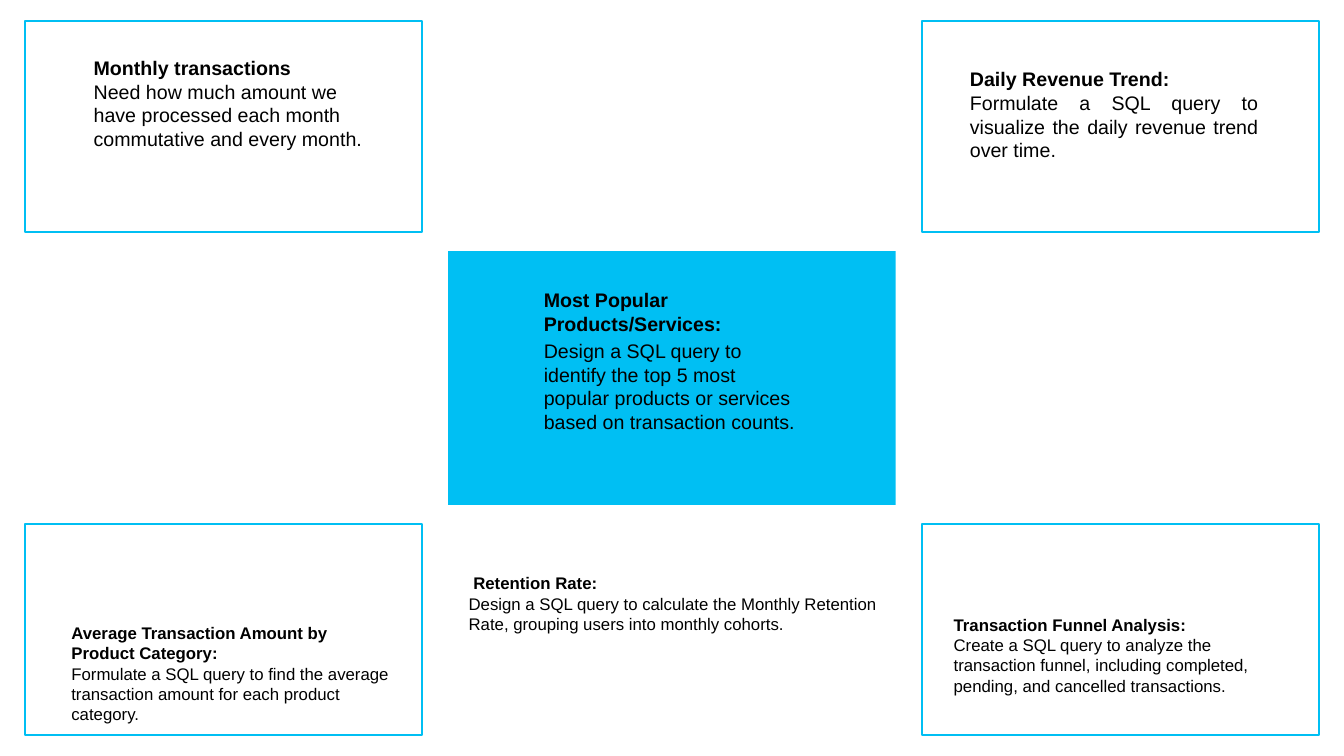
from dataclasses import dataclass

from pptx import Presentation
from pptx.dml.color import RGBColor
from pptx.enum.shapes import MSO_SHAPE as Preset
from pptx.enum.text import MSO_ANCHOR as Anchor, PP_ALIGN as Align
from pptx.util import Pt

COLORS = {"accent": "00BFF3", "text": "000000"}
FONT = "Arial"
SLIDE_W, SLIDE_H = 960, 540
MARGIN_X, MARGIN_Y = 18, 15.1
CARD_W, CARD_H = 283.7, 150.5
CENTER_W, CENTER_H = 319.7, 181.4

LEFT, RIGHT = MARGIN_X, SLIDE_W - MARGIN_X - CARD_W
TOP, BOTTOM = MARGIN_Y, SLIDE_H - MARGIN_Y - CARD_H
CENTER_X, CENTER_Y = (SLIDE_W - CENTER_W) / 2, (SLIDE_H - CENTER_H) / 2


@dataclass
class Task:
    heading: str
    request: str
    offset: tuple
    extent: tuple
    size: int = 12
    align: Align = Align.LEFT
    gap: float = 0


MONTHLY = Task(
    "Monthly transactions",
    "Need how much amount we have processed each month commutative and every month.",
    (41.8, 21.6), (218.9, 92), size=14)
DAILY = Task(
    "Daily Revenue Trend:",
    "Formulate a SQL query to visualize the daily revenue trend over time.",
    (27.4, 29.5), (220.3, 75), size=14, align=Align.JUSTIFY)
AVERAGE = Task(
    "Average Transaction Amount by Product Category:",
    "Formulate a SQL query to find the average transaction amount for each product category.",
    (25.9, 67), (242.6, 94))
FUNNEL = Task(
    "Transaction Funnel Analysis:",
    "Create a SQL query to analyze the transaction funnel, including completed, "
    "pending, and cancelled transactions.",
    (15.8, 61.2), (259.2, 83))
POPULAR = Task(
    "Most Popular Products/Services:",
    "Design a SQL query to identify the top 5 most popular products or services "
    "based on transaction counts.",
    (61.2, 23), (198.7, 128), size=14, gap=2.8)
RETENTION = Task(
    " Retention Rate:",
    "Design a SQL query to calculate the Monthly Retention Rate, grouping users "
    "into monthly cohorts.",
    (7.5, 31.5), (315.4, 62))


def color(name):
    return RGBColor.from_string(COLORS[name])


def add_panel(slide, x, y, width, height, filled):
    panel = slide.shapes.add_shape(
        Preset.RECTANGLE, Pt(x), Pt(y), Pt(width), Pt(height))
    panel.shadow.inherit = False
    if filled:
        panel.fill.solid()
        panel.fill.fore_color.rgb = color("accent")
        panel.line.fill.background()
    else:
        panel.fill.background()
        panel.line.color.rgb = color("accent")
        panel.line.width = Pt(1.5)


def add_task(slide, x, y, task):
    dx, dy = task.offset
    width, height = task.extent
    frame = slide.shapes.add_textbox(
        Pt(x + dx), Pt(y + dy), Pt(width), Pt(height)).text_frame
    frame.word_wrap = True
    frame.vertical_anchor = Anchor.TOP
    heading = frame.paragraphs[0]
    request = frame.add_paragraph()
    request.space_before = Pt(task.gap)
    for paragraph, words, bold in ((heading, task.heading, True),
                                   (request, task.request, False)):
        paragraph.alignment = task.align
        run = paragraph.add_run()
        run.text = words
        run.font.name = FONT
        run.font.size = Pt(task.size)
        run.font.bold = bold
        run.font.color.rgb = color("text")


def add_card(slide, x, y, task):
    add_panel(slide, x, y, CARD_W, CARD_H, filled=False)
    add_task(slide, x, y, task)


def add_highlight(slide, x, y, task):
    add_panel(slide, x, y, CENTER_W, CENTER_H, filled=True)
    add_task(slide, x, y, task)


def main():
    deck = Presentation()
    deck.slide_width, deck.slide_height = Pt(SLIDE_W), Pt(SLIDE_H)
    slide = deck.slides.add_slide(deck.slide_layouts[6])
    add_highlight(slide, CENTER_X, CENTER_Y, POPULAR)
    for x, y, task in ((LEFT, TOP, MONTHLY), (RIGHT, TOP, DAILY),
                       (LEFT, BOTTOM, AVERAGE), (RIGHT, BOTTOM, FUNNEL)):
        add_card(slide, x, y, task)
    add_task(slide, CENTER_X, BOTTOM, RETENTION)
    deck.save("out.pptx")


if __name__ == "__main__":
    main()
